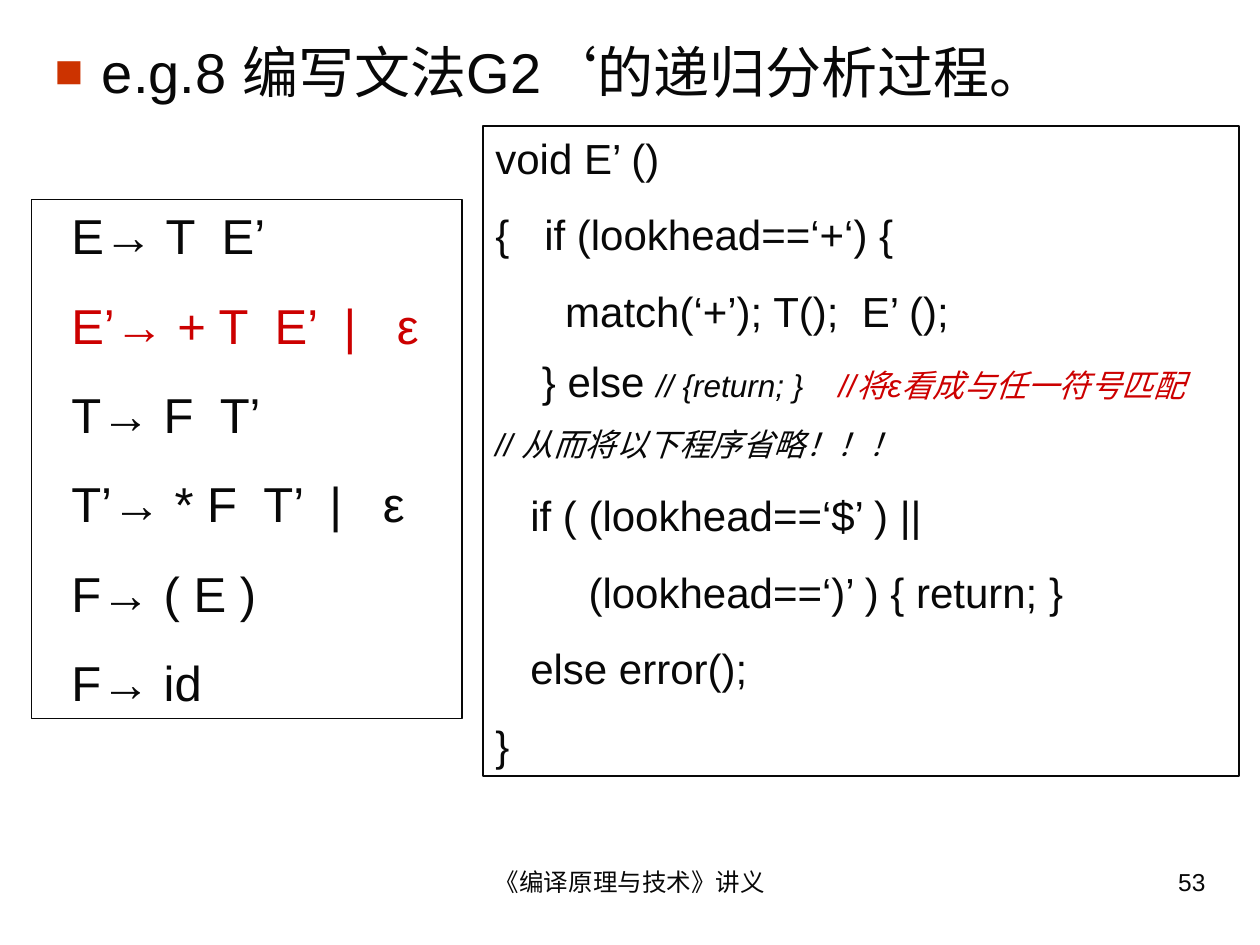
from dataclasses import dataclass

from lxml import etree
from pptx import Presentation
from pptx.dml.color import RGBColor
from pptx.enum import shapes, text
from pptx.oxml import ns
from pptx.util import Pt


@dataclass(frozen=True)
class Theme:
    font: str = "Arial"
    ink: str = "080808"
    red: str = "CC0000"
    bullet: str = "CC3300"
    heading: int = 32
    grammar: int = 28
    code: int = 24
    comment: int = 18
    footer: int = 14


T = Theme()

GRAMMAR = [
    [("E→ T  E’", T.ink)],
    [("E’→ + T  E’  |   ε", T.red)],
    [("T→ F  T’", T.ink)],
    [("T’→ * F  T’  |   ε", T.ink)],
    [("F→ ( E )", T.ink)],
    [("F→ id", T.ink)],
]

# Runs are (text, colour) or (text, colour, is_comment)
CODE = [
    [("void E’ ()", T.ink)],
    [("{   if (lookhead==‘+‘) {", T.ink)],
    [("      match(‘+’); T();  E’ ();", T.ink)],
    [("    } else ", T.ink), ("// {return; }    ", T.ink, True),
     ("//将ε看成与任一符号匹配", T.red, True)],
    [("// 从而将以下程序省略！！！", T.ink, True)],
    [("   if ( (lookhead==‘$’ ) ||", T.ink)],
    [("        (lookhead==‘)’ ) { return; }", T.ink)],
    [("   else error();", T.ink)],
    [("}", T.ink)],
]


def style(r, size, color=T.ink, italic=False):
    r.font.name = T.font
    r.font.size = Pt(size)
    r.font.italic = italic
    r.font.color.rgb = RGBColor.from_string(color)


def add_bullet(p, char, color, percent, indent):
    pPr = p._p.get_or_add_pPr()
    pPr.set("marL", str(Pt(indent)))
    pPr.set("indent", str(-Pt(indent)))
    clr = etree.SubElement(pPr, ns.qn("a:buClr"))
    etree.SubElement(clr, ns.qn("a:srgbClr"), val=color)
    etree.SubElement(pPr, ns.qn("a:buSzPct"), val=str(percent * 1000))
    etree.SubElement(pPr, ns.qn("a:buFont"), typeface=T.font)
    etree.SubElement(pPr, ns.qn("a:buChar"), char=char)


def set_heading(s, content):
    sp = s.shapes.title
    sp.left, sp.top, sp.width, sp.height = Pt(24), Pt(18), Pt(672), Pt(48)
    tf = sp.text_frame
    tf.text = content
    tf.word_wrap = True
    tf.auto_size = text.MSO_AUTO_SIZE.NONE
    tf.vertical_anchor = text.MSO_ANCHOR.TOP
    p = tf.paragraphs[0]
    p.alignment = text.PP_ALIGN.LEFT
    add_bullet(p, "■", T.bullet, 85, 27)
    style(p.runs[0], T.heading)


def add_listing(s, box, lines, size, gap, comment_gap=0, inset=7.2):
    sp = s.shapes.add_shape(shapes.MSO_SHAPE.RECTANGLE, *map(Pt, box))
    sp.shadow.inherit = False
    sp.fill.background()
    sp.line.color.rgb = RGBColor.from_string(T.ink)
    sp.line.width = Pt(0.75)
    tf = sp.text_frame
    tf.word_wrap = True
    tf.auto_size = text.MSO_AUTO_SIZE.SHAPE_TO_FIT_TEXT
    tf.vertical_anchor = text.MSO_ANCHOR.TOP
    tf.margin_left = Pt(inset)
    for i, line in enumerate(lines):
        p = tf.add_paragraph() if i else tf.paragraphs[0]
        p.alignment = text.PP_ALIGN.LEFT
        has_comment = any(comment for _, _, *comment in line)
        if i:
            p.space_before = Pt(comment_gap if has_comment else gap)
        for content, color, *comment in line:
            r = p.add_run()
            r.text = content
            style(r, T.comment if comment else size, color, bool(comment))


def add_footer(s, left, width, content, align):
    tf = s.shapes.add_textbox(Pt(left), Pt(492), Pt(width), Pt(37.5)).text_frame
    tf.word_wrap = True
    tf.text = content
    p = tf.paragraphs[0]
    p.alignment = align
    style(p.runs[0], T.footer)


def main():
    prs = Presentation()
    prs.slide_width, prs.slide_height = Pt(720), Pt(540)
    s = prs.slides.add_slide(prs.slide_layouts.get_by_name("Title Only"))

    # Heading
    set_heading(s, "e.g.8 编写文法G2‘的递归分析过程。")

    # Grammar on the left, parsing procedure on the right
    add_listing(s, (18, 114, 246, 296.5), GRAMMAR, T.grammar, 17.5, inset=22.8)
    add_listing(s, (276, 72, 432, 371.5), CODE, T.code, 15, comment_gap=11.2)

    # Footer and slide number
    add_footer(s, 246, 228, "《编译原理与技术》讲义", text.PP_ALIGN.CENTER)
    add_footer(s, 516, 180, "53", text.PP_ALIGN.RIGHT)

    prs.save("out.pptx")


if __name__ == "__main__":
    main()
